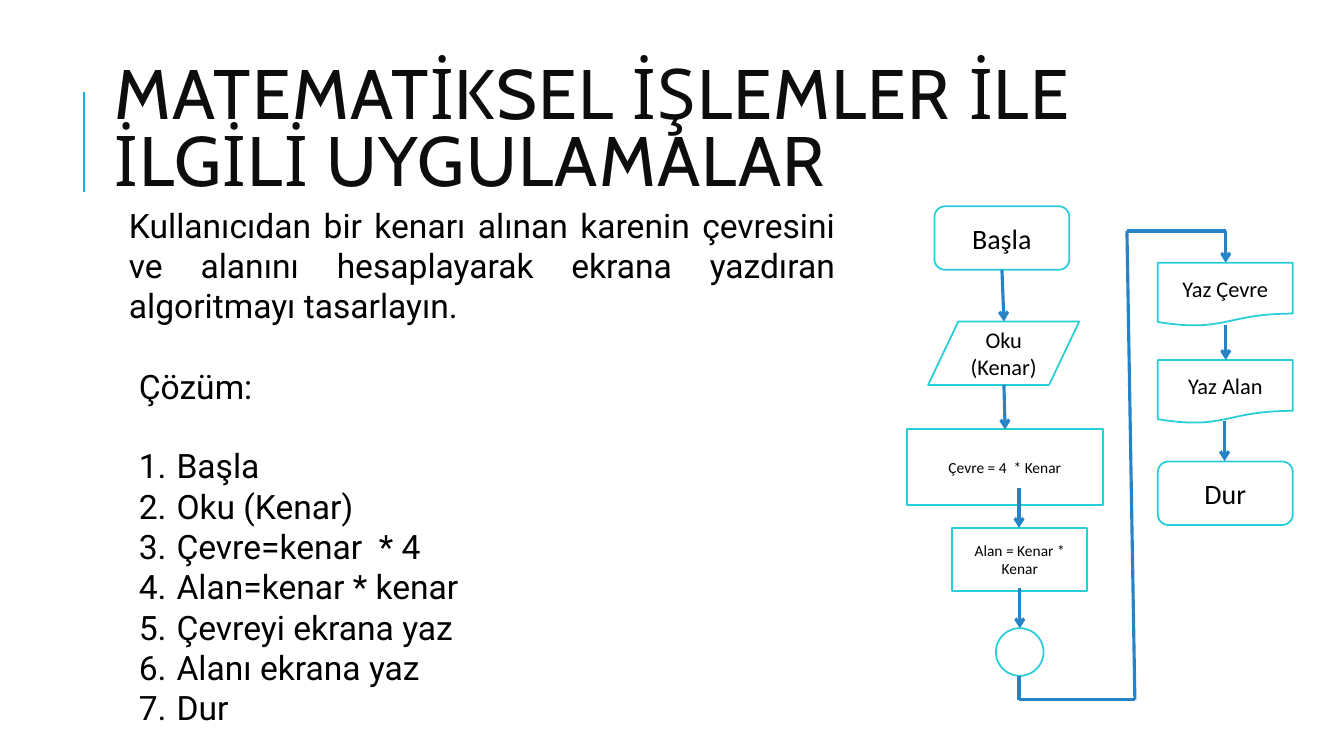
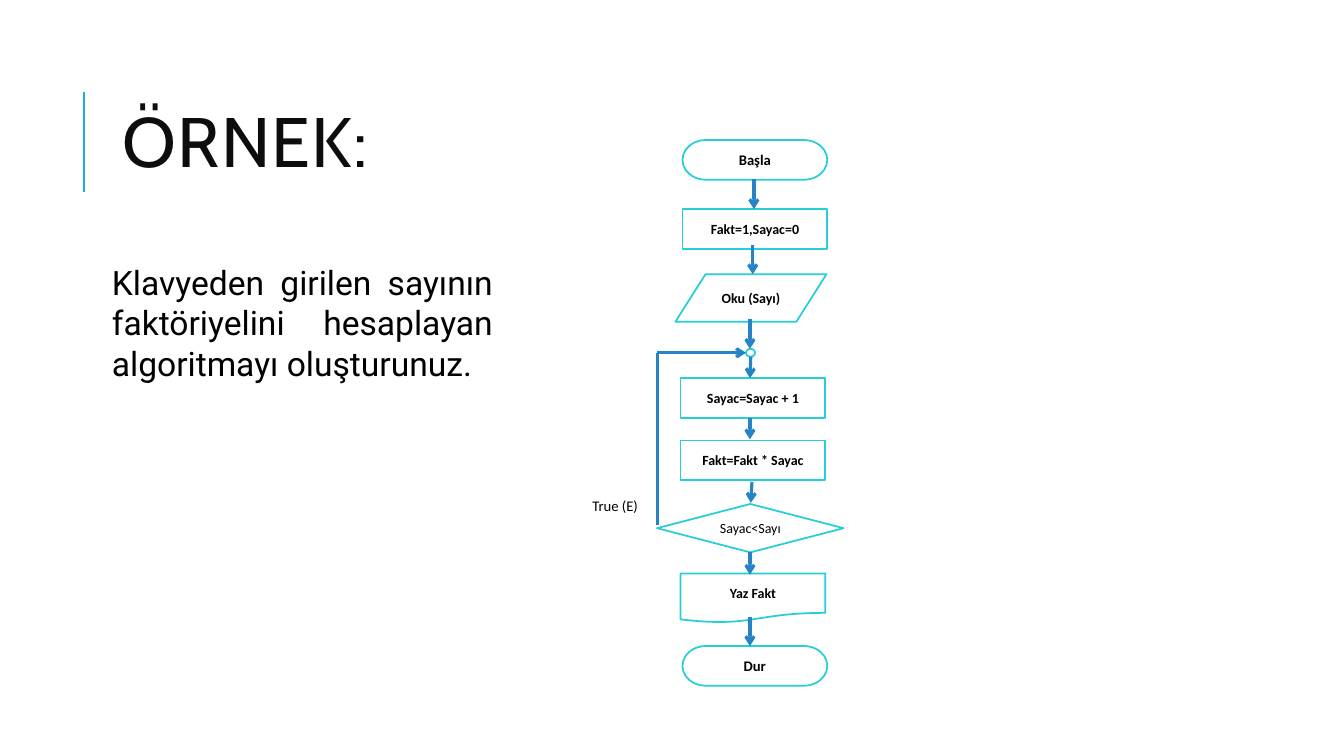
"""Build two slides on algorithms and their flowcharts."""
import lxml.etree
import pptx
import pptx.dml.color
import pptx.enum.shapes
import pptx.enum.text
import pptx.oxml.ns
import pptx.util

Cm = pptx.util.Cm
Pt = pptx.util.Pt
KIND = pptx.enum.shapes.MSO_SHAPE
ALIGN = pptx.enum.text.PP_ALIGN
ANCHOR = pptx.enum.text.MSO_ANCHOR
COLORS = {
    "title": "0D0D0D", "text": "000000", "rule": "1CADE4",
    "box": "FFFFFF", "outline": "27CED7", "arrow": "2683C6",
}
COLORS = {part: pptx.dml.color.RGBColor.from_string(code) for part, code in COLORS.items()}


def write(shape, *lines, font="Roboto", size=24, color="text", bold=False, align=ALIGN.JUSTIFY,
          anchor=ANCHOR.TOP, inset=0.0, line_spacing=None, tracking=0, heading_gap=0, numbered=False):
    frame = shape.text_frame
    frame.word_wrap = True
    frame.vertical_anchor = anchor
    frame.margin_left = frame.margin_right = Cm(inset)
    frame.margin_top = frame.margin_bottom = Cm(inset / 2)
    for position, line in enumerate(lines):
        paragraph = frame.add_paragraph() if position else frame.paragraphs[0]
        paragraph.alignment = align
        if line_spacing:
            paragraph.line_spacing = line_spacing
        run = paragraph.add_run()
        run.text = line
        run.font.name = font
        run.font.size = Pt(size)
        run.font.bold = bold
        run.font.color.rgb = COLORS[color]
        if tracking:
            run._r.get_or_add_rPr().set("spc", str(tracking * 100))
        if heading_gap and position == 0:
            paragraph.space_after = Pt(heading_gap)
        elif numbered:
            properties = paragraph._p.get_or_add_pPr()
            properties.set("marL", str(Cm(0.95)))
            properties.set("indent", str(-Cm(0.95)))
            lxml.etree.SubElement(properties, pptx.oxml.ns.qn("a:buAutoNum"), type="arabicPeriod")


def connect(slide, start, end, color="arrow", width=2.25, arrow=False):
    points = [Cm(value) for value in (*start, *end)]
    line = slide.shapes.add_connector(pptx.enum.shapes.MSO_CONNECTOR.STRAIGHT, *points)
    line.line.color.rgb = COLORS[color]
    line.line.width = Pt(width)
    if arrow:
        lxml.etree.SubElement(line.line._get_or_add_ln(), pptx.oxml.ns.qn("a:tailEnd"), type="arrow")
    lxml.etree.SubElement(line._element.spPr, pptx.oxml.ns.qn("a:effectLst"))


lessons = [
    {
        "title": ("MATEMATİKSEL İŞLEMLER İLE İLGİLİ UYGULAMALAR", 2.64, 1.27),
        "task": ("Kullanıcıdan bir kenarı alınan karenin çevresini ve alanını hesaplayarak "
                 "ekrana yazdıran algoritmayı tasarlayın.", 3.25, 5.16, 17.8),
        "solution": ["Çözüm:", "Başla", "Oku (Kenar)", "Çevre=kenar  * 4", "Alan=kenar * kenar",
                     "Çevreyi ekrana yaz", "Alanı ekrana yaz", "Dur"],
        "steps": [
            ("Başla", KIND.FLOWCHART_ALTERNATE_PROCESS, 23.55, 5.2, 3.4, 1.6, 20, False),
            ("Oku (Kenar)", KIND.FLOWCHART_DATA, 23.39, 8.1, 3.81, 1.6, 16, False),
            ("Çevre = 4  * Kenar", KIND.FLOWCHART_PROCESS, 22.86, 10.82, 4.93, 1.9, 11, False),
            ("Alan = Kenar * Kenar", KIND.FLOWCHART_PROCESS, 24, 13.3, 3.4, 1.6, 11, False),
            ("", KIND.FLOWCHART_CONNECTOR, 25.1, 15.83, 1.2, 1.2, 11, False),
            ("Yaz Çevre", KIND.FLOWCHART_DOCUMENT, 29.18, 6.62, 3.4, 1.6, 16, False),
            ("Yaz Alan", KIND.FLOWCHART_DOCUMENT, 29.18, 9.07, 3.4, 1.6, 16, False),
            ("Dur", KIND.FLOWCHART_ALTERNATE_PROCESS, 29.18, 11.63, 3.4, 1.6, 20, False),
        ],
        "flows": [
            [(25.25, 6.8), (25.3, 8.1)],
            [(25.3, 9.7), (25.33, 10.82)],
            [(25.68, 12.3), (25.68, 13.3)],
            [(25.7, 14.81), (25.7, 15.83)],
            [(25.68, 17.03), (25.68, 17.63), (28.6, 17.63), (28.4, 5.82), (30.89, 5.82), (30.89, 6.62)],
            [(30.89, 8.18), (30.89, 9.07)],
            [(30.86, 10.6), (30.86, 11.62)],
        ],
    },
    {
        "title": ("ÖRNEK:", 2.84, 1.63),
        "task": ("Klavyeden girilen sayının faktöriyelini hesaplayan algoritmayı oluşturunuz.",
                 2.82, 6.6, 9.6),
        "branch": "True (E)",
        "steps": [
            ("Başla", KIND.FLOWCHART_TERMINATOR, 17.2, 3.53, 3.65, 1, 10.5, True),
            ("Fakt=1,Sayac=0", KIND.FLOWCHART_PROCESS, 17.2, 5.27, 3.65, 1, 10, True),
            ("Oku (Sayı)", KIND.FLOWCHART_DATA, 17.02, 6.91, 3.81, 1.2, 10, True),
            ("", KIND.FLOWCHART_CONNECTOR, 18.8, 8.79, 0.23, 0.2, 10, False),
            ("Sayac=Sayac + 1", KIND.FLOWCHART_PROCESS, 17.15, 9.53, 3.65, 1, 10, True),
            ("Fakt=Fakt * Sayac", KIND.FLOWCHART_PROCESS, 17.15, 11.1, 3.65, 1, 10, True),
            ("Sayac<Sayı", KIND.FLOWCHART_DECISION, 16.56, 12.7, 4.7, 1.22, 10, False),
            ("Yaz Fakt", KIND.FLOWCHART_DOCUMENT, 17.15, 14.45, 3.65, 1.24, 10, True),
            ("Dur", KIND.FLOWCHART_TERMINATOR, 17.2, 16.28, 3.65, 1, 10.5, True),
        ],
        "flows": [
            [(19, 4.52), (19, 5.27)],
            [(18.97, 6.17), (18.97, 6.91)],
            [(18.9, 8.05), (18.9, 8.79)],
            [(18.92, 8.99), (18.9, 9.53)],
            [(18.9, 10.54), (18.9, 11.07)],
            [(18.95, 12.14), (18.92, 12.67)],
            [(16.56, 13.23), (16.56, 8.89), (18.8, 8.89)],
            [(18.9, 13.92), (18.9, 14.48)],
            [(18.9, 15.54), (18.9, 16.28)],
        ],
    },
]

deck = pptx.Presentation()
deck.slide_width = Cm(33.87)
deck.slide_height = Cm(19.05)

for lesson in lessons:
    slide = deck.slides.add_slide(deck.slide_layouts[6])
    connect(slide, (2.12, 4.83), (2.12, 2.31), color="rule", width=1.5)

    heading, left, top = lesson["title"]
    title = slide.shapes.add_textbox(Cm(left), Cm(top), Cm(27), Cm(4.17))
    write(title, heading, font="Cabin", size=50, color="title", align=ALIGN.LEFT,
          anchor=ANCHOR.MIDDLE, inset=0.25, line_spacing=0.8, tracking=1)

    question, left, top, width = lesson["task"]
    task = slide.shapes.add_textbox(Cm(left), Cm(top), Cm(width), Cm(3.1))
    write(task, question)

    if "solution" in lesson:
        solution = slide.shapes.add_textbox(Cm(3.5), Cm(9.22), Cm(15.1), Cm(9.25))
        write(solution, *lesson["solution"], heading_gap=28, numbered=True)

    for label, kind, left, top, width, height, size, bold in lesson["steps"]:
        step = slide.shapes.add_shape(kind, Cm(left), Cm(top), Cm(width), Cm(height))
        step.shadow.inherit = False
        step.fill.solid()
        step.fill.fore_color.rgb = COLORS["box"]
        step.line.color.rgb = COLORS["outline"]
        step.line.width = Pt(1.25)
        if label:
            write(step, label, font="Calibri", size=size, bold=bold, align=ALIGN.CENTER,
                  anchor=ANCHOR.MIDDLE, inset=0.25)

    for flow in lesson["flows"]:
        for start, end in zip(flow, flow[1:]):
            connect(slide, start, end, arrow=end == flow[-1])

    if "branch" in lesson:
        branch = slide.shapes.add_textbox(Cm(14.68), Cm(12.4), Cm(1.88), Cm(1.14))
        write(branch, lesson["branch"], font="Calibri", size=10.5, align=ALIGN.LEFT, inset=0.25)

deck.save("out.pptx")
